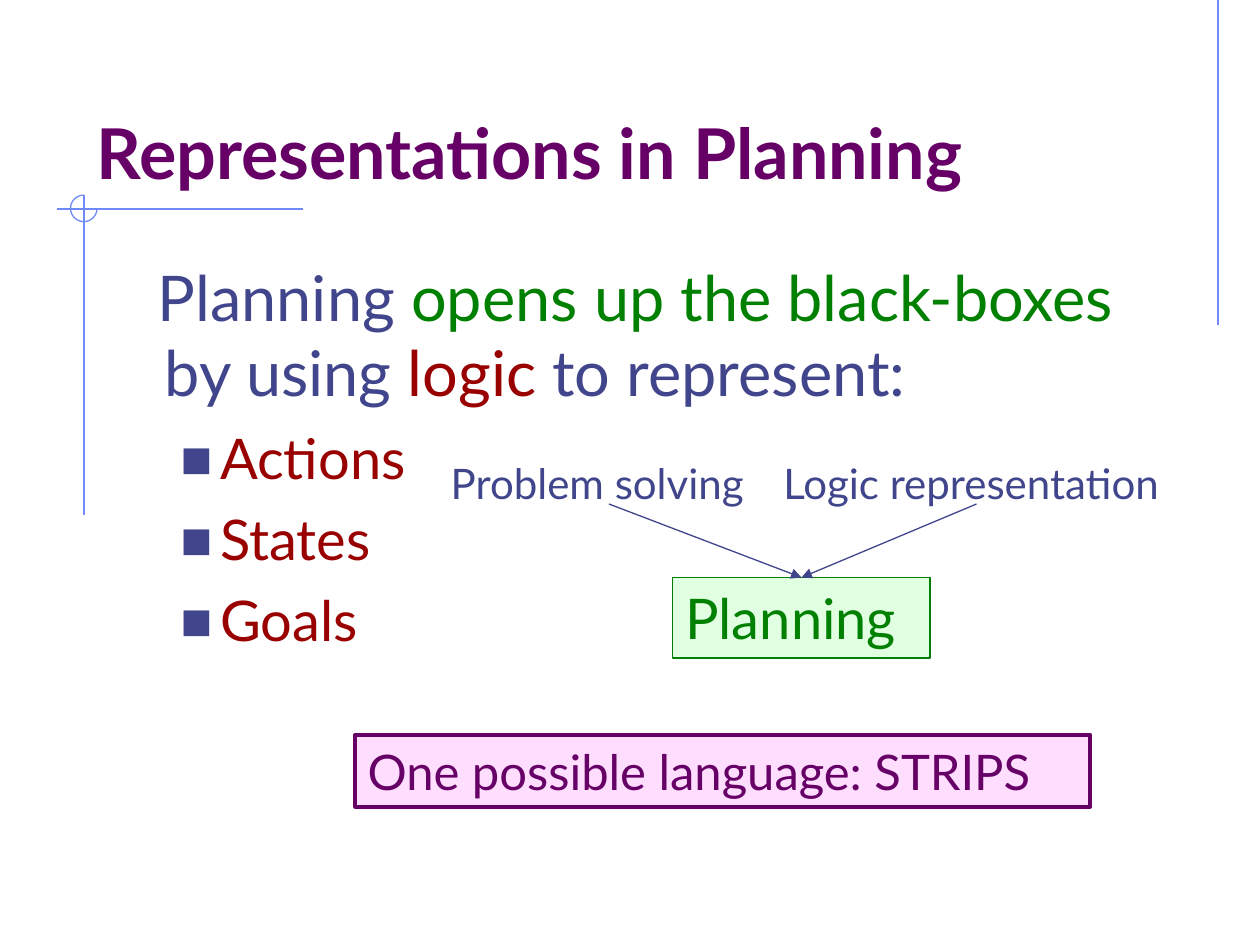
from lxml.etree import SubElement
from pptx import Presentation
from pptx.dml.color import RGBColor
from pptx.enum.shapes import MSO_CONNECTOR, MSO_SHAPE
from pptx.enum.text import MSO_ANCHOR, MSO_AUTO_SIZE, PP_ALIGN
from pptx.oxml.ns import qn
from pptx.util import Pt

FONT = "Lato"
INDIGO = RGBColor(0x40, 0x45, 0x8C)
PERIWINKLE = RGBColor(0x6F, 0x89, 0xF7)
PURPLE = RGBColor(0x66, 0x00, 0x66)
PINK = RGBColor(0xFF, 0xDD, 0xFF)
GREEN = RGBColor(0x00, 0x80, 0x00)
PALE_GREEN = RGBColor(0xE1, 0xFF, 0xE1)
RED = RGBColor(0x99, 0x00, 0x00)

prs = Presentation()
prs.slide_width, prs.slide_height = Pt(720), Pt(540)
slide = prs.slides.add_slide(prs.slide_layouts[1])


def add_run(paragraph, text, size, color, bold=False):
    run = paragraph.add_run()
    run.text = text
    run.font.name = FONT
    run.font.size = Pt(size)
    run.font.bold = bold
    run.font.color.rgb = color


def add_line(x1, y1, x2, y2, color):
    line = slide.shapes.add_connector(
        MSO_CONNECTOR.STRAIGHT, Pt(x1), Pt(y1), Pt(x2), Pt(y2))
    line.line.color.rgb = color
    line.line.width = Pt(0.75)
    SubElement(line._element.spPr, qn("a:effectLst"))
    return line


# Corner decoration
for ends in ((696, 0, 696, 186), (173, 119.5, 32.5, 119.5), (48, 111.5, 48, 294.5)):
    add_line(*ends, PERIWINKLE)
corner_arc = slide.shapes.add_shape(MSO_SHAPE.ARC, Pt(40.3), Pt(111.5), Pt(15.2), Pt(15.2))
corner_arc.adjustments[0] = 0
corner_arc.adjustments[1] = 162  # 270 degrees
corner_arc.shadow.inherit = False
corner_arc.fill.background()
corner_arc.line.color.rgb = PERIWINKLE
corner_arc.line.width = Pt(0.75)

# Title
title = slide.shapes.title
title.left, title.top, title.width, title.height = Pt(48), Pt(24), Pt(612), Pt(90)
title.text_frame.vertical_anchor = MSO_ANCHOR.BOTTOM
title.text_frame.auto_size = MSO_AUTO_SIZE.NONE
heading = title.text_frame.paragraphs[0]
heading.alignment = PP_ALIGN.LEFT
add_run(heading, "Representations in Planning", 40, PURPLE, bold=True)

# Statement and list
body = slide.placeholders[1]
body.left, body.top, body.width, body.height = Pt(60), Pt(144), Pt(600), Pt(324)
body.text_frame.auto_size = MSO_AUTO_SIZE.NONE
statement = body.text_frame.paragraphs[0]
statement.space_before = Pt(0)
statement_format = statement._p.get_or_add_pPr()
statement_format.set("marL", str(Pt(27)))
statement_format.set("indent", str(Pt(-4)))
SubElement(statement_format, qn("a:buNone"))
for text, color in (("Planning ", INDIGO), ("opens up the black-boxes", GREEN),
                    (" by using ", INDIGO), ("logic", RED), (" to represent:", INDIGO)):
    add_run(statement, text, 36, color)

for text in ("Actions", "States", "Goals"):
    item = body.text_frame.add_paragraph()
    item.level = 1
    item.space_before = Pt(8)
    item_format = item._p.get_or_add_pPr()
    item_format.set("marL", str(Pt(58.5)))
    item_format.set("indent", str(Pt(-22.5)))
    bullet_color = SubElement(item_format, qn("a:buClr"))
    SubElement(bullet_color, qn("a:srgbClr"), val=str(INDIGO))
    SubElement(item_format, qn("a:buSzPct"), val="60000")
    SubElement(item_format, qn("a:buFont"), typeface=FONT)
    SubElement(item_format, qn("a:buChar"), char="■")
    add_run(item, text, 32, RED)

# Labels above the diagram
for text, left, width in (("Problem solving", 250.5, 196.5),
                          ("Logic representation", 440.5, 247.5)):
    label = slide.shapes.add_textbox(Pt(left), Pt(258), Pt(width), Pt(36))
    label.text_frame.word_wrap = True
    add_run(label.text_frame.paragraphs[0], text, 24, INDIGO)

# Framed boxes
boxes = {}
for text, left, top, width, height, size, color, fill, border in (
        ("One possible language: STRIPS", 203, 420, 420, 41, 28, PURPLE, PINK, 2.25),
        ("Planning", 384.5, 330, 147, 46, 32, GREEN, PALE_GREEN, 0.75)):
    box = slide.shapes.add_shape(
        MSO_SHAPE.RECTANGLE, Pt(left), Pt(top), Pt(width), Pt(height))
    box.shadow.inherit = False
    box.fill.solid()
    box.fill.fore_color.rgb = fill
    box.line.color.rgb = color
    box.line.width = Pt(border)
    box.text_frame.word_wrap = True
    box.text_frame.vertical_anchor = MSO_ANCHOR.TOP
    box.text_frame.paragraphs[0].alignment = PP_ALIGN.LEFT
    add_run(box.text_frame.paragraphs[0], text, size, color)
    boxes[text] = box

# Arrows from the labels into Planning
for start_x in (348, 558):
    arrow = add_line(start_x, 288, 458, 330, INDIGO)
    arrow.end_connect(boxes["Planning"], 0)
    SubElement(arrow.line._get_or_add_ln(), qn("a:tailEnd"), type="triangle")

prs.save("out.pptx")
